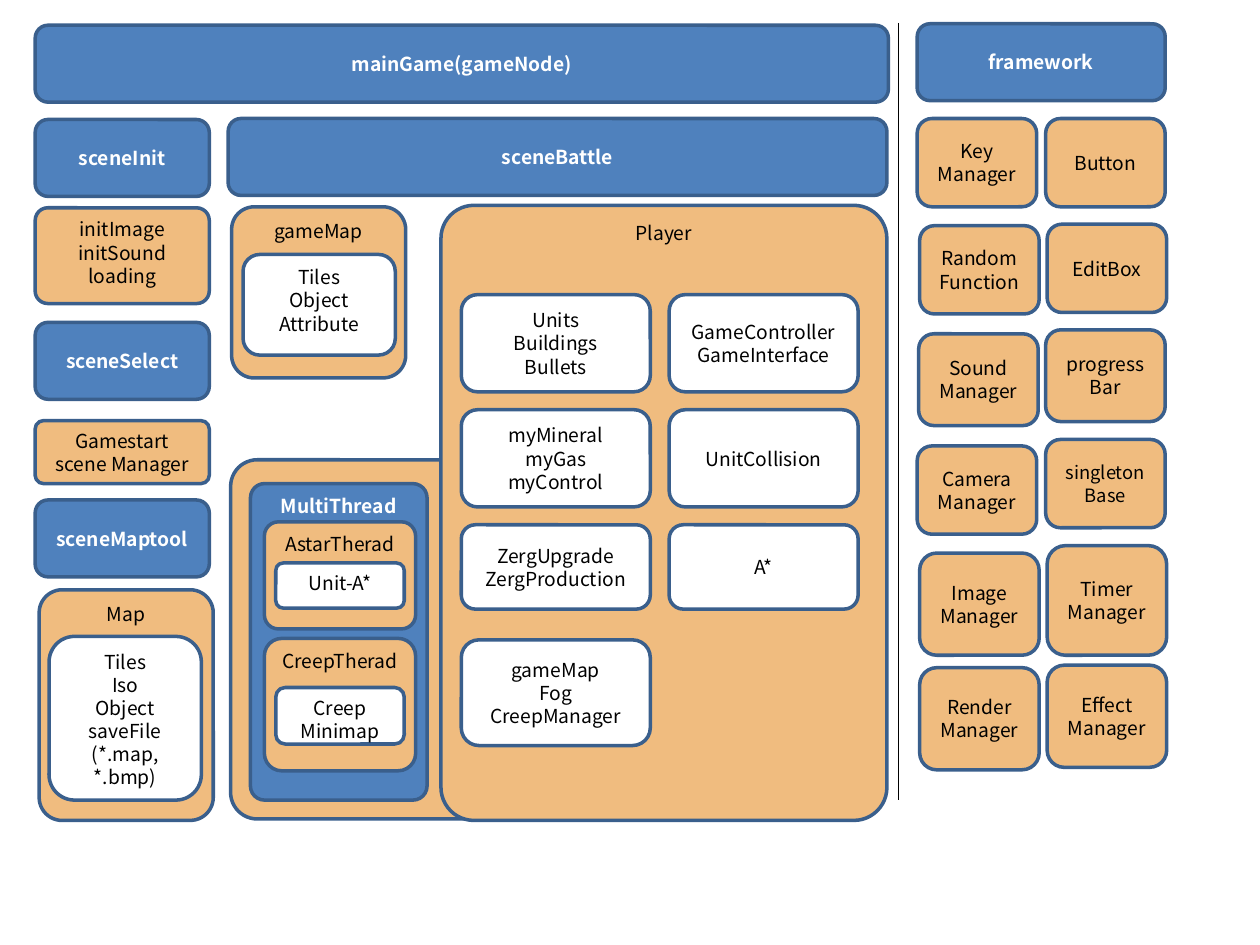
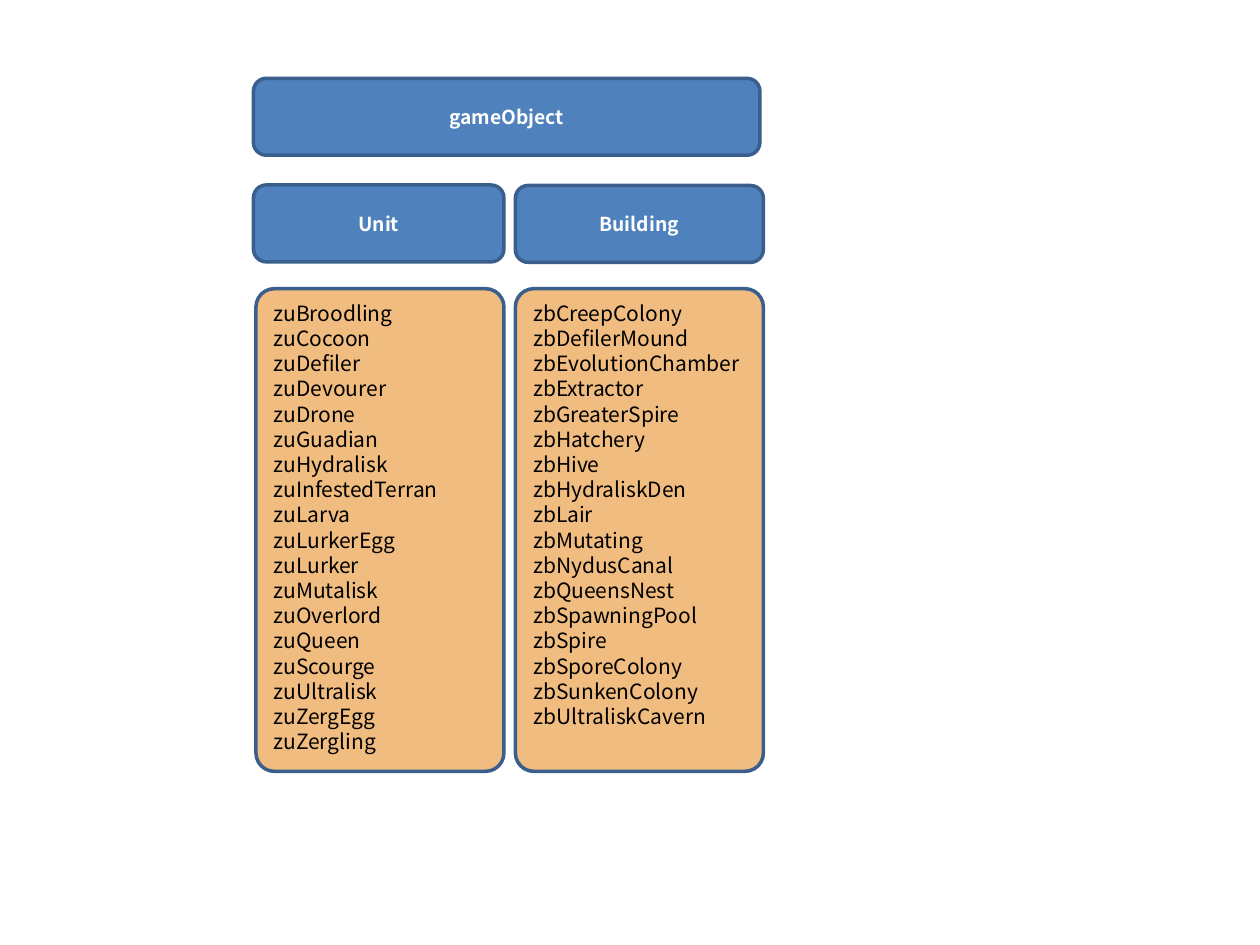
from typing import NamedTuple

from lxml.etree import SubElement
from pptx import Presentation
from pptx.dml.color import RGBColor
from pptx.enum.shapes import MSO_CONNECTOR, MSO_SHAPE
from pptx.enum.text import MSO_ANCHOR, PP_ALIGN
from pptx.oxml.ns import qn
from pptx.util import Cm, Pt

BLUE = RGBColor(0x4F, 0x81, 0xBD)
NAVY = RGBColor(0x3A, 0x5F, 0x8C)
ORANGE = RGBColor(0xF0, 0xBC, 0x7F)
WHITE = RGBColor(0xFF, 0xFF, 0xFF)
BLACK = RGBColor(0x00, 0x00, 0x00)
FONT = "Noto Sans CJK KR"
LINE_RATIO = 1.2
HEADING_HEIGHT = 1.55
ROUND = 0.167
PANEL_ROUND = 0.132
LARGE_ROUND = 0.074


class Box(NamedTuple):
    left: float
    top: float
    width: float
    height: float

    def inner(self, left, top, width, height):
        return Box(self.left + left, self.top + top, width, height)


def add_card(shapes, box, text, fill, rounding=ROUND, anchor=MSO_ANCHOR.TOP,
             align=PP_ALIGN.CENTER, size=11, color=BLACK, bold=False):
    card = shapes.add_shape(MSO_SHAPE.ROUNDED_RECTANGLE, *map(Cm, box))
    card.adjustments[0] = rounding
    card.shadow.inherit = False
    card.fill.solid()
    card.fill.fore_color.rgb = fill
    card.line.color.rgb = NAVY
    card.line.width = Pt(2)
    frame = card.text_frame
    frame.word_wrap = True
    frame.vertical_anchor = anchor
    frame.text = text
    for paragraph in frame.paragraphs:
        paragraph.alignment = align
        paragraph.line_spacing = Pt(size * LINE_RATIO)
        paragraph.font.name = FONT
        paragraph.font.size = Pt(size)
        paragraph.font.bold = bold
        paragraph.font.color.rgb = color


def add_heading(shapes, box, text):
    add_card(shapes, box, text, BLUE, anchor=MSO_ANCHOR.MIDDLE,
             color=WHITE, bold=True)


def add_nested(shapes, box, title, content_box, text):
    add_card(shapes, box, title, ORANGE, PANEL_ROUND)
    add_card(shapes, box.inner(*content_box), text, WHITE)


def add_scenes(shapes, box):
    for name, top in (("sceneInit", 0), ("sceneSelect", 4.09), ("sceneMaptool", 7.67)):
        add_heading(shapes, box.inner(0, top, box.width, HEADING_HEIGHT), name)
    for text, top, height in (("initImage\ninitSound\nloading", 1.78, 1.93),
                              ("Gamestart\nscene Manager", 6.07, 1.27)):
        add_card(shapes, box.inner(0, top, box.width, height), text, ORANGE, PANEL_ROUND)
    add_nested(shapes, box.inner(0.08, 9.48, box.width, 4.65), "Map",
               (0.2, 0.94, 3.07, 3.3), "Tiles\nIso\nObject\nsaveFile\n(*.map, *.bmp)")


def add_threads(shapes, box):
    add_card(shapes, box, "MultiThread", BLUE, 0.08, color=WHITE, bold=True)
    add_nested(shapes, box.inner(0.28, 3.12, 3.05, 2.67), "CreepTherad",
               (0.23, 0.99, 2.59, 1.14), "Creep\nMinimap")
    add_nested(shapes, box.inner(0.28, 0.77, 3.05, 2.16), "AstarTherad",
               (0.23, 0.83, 2.59, 0.91), "Unit-A*")


def add_player(shapes, box):
    add_card(shapes, box, "Player", ORANGE, LARGE_ROUND)
    heights = (1.96, 1.96, 1.7, 2.13)
    columns = (
        ("Units\nBuildings\nBullets", "myMineral\nmyGas\nmyControl",
         "ZergUpgrade\nZergProduction", "gameMap\nFog\nCreepManager"),
        ("GameController\nGameInterface", "UnitCollision", "A*"),
    )
    for column, members in enumerate(columns):
        for row, (text, height) in enumerate(zip(members, heights)):
            cell = box.inner(0.41 + 4.19 * column, 1.8 + 2.32 * row, 3.81, height)
            add_card(shapes, cell, text, WHITE, anchor=MSO_ANCHOR.MIDDLE)


def add_battle(shapes, box):
    add_card(shapes, box.inner(0.05, 6.88, 9.45, 7.24), "", ORANGE, LARGE_ROUND)
    add_player(shapes, box.inner(4.29, 1.75, 8.99, 12.4))
    add_heading(shapes, box.inner(0, 0, box.width, HEADING_HEIGHT), "sceneBattle")
    add_nested(shapes, box.inner(0.07, 1.78, 3.51, 3.45), "gameMap",
               (0.23, 0.96, 3.07, 2.03), "Tiles\nObject\nAttribute")
    add_threads(shapes.add_group_shape().shapes, box.inner(0.45, 7.36, 3.56, 6.38))


def add_framework(shapes, box):
    add_heading(shapes, box.inner(0, 0, box.width, HEADING_HEIGHT), "framework")
    tools = (
        ("Key\nManager", 0, 1.91, 1.78),
        ("Random\nFunction", 0.05, 4.07, 1.78),
        ("Sound\nManager", 0.03, 6.25, 1.85),
        ("Camera\nManager", 0, 8.51, 1.78),
        ("Image\nManager", 0.05, 10.67, 2.06),
        ("Render\nManager", 0.05, 12.98, 2.06),
        ("Button", 2.59, 1.91, 1.78),
        ("EditBox", 2.62, 4.04, 1.78),
        ("progressBar", 2.59, 6.17, 1.85),
        ("singletonBase", 2.59, 8.38, 1.78),
        ("Timer\nManager", 2.62, 10.52, 2.21),
        ("Effect\nManager", 2.62, 12.93, 2.06),
    )
    for text, left, top, height in tools:
        size = 10.5 if text == "singletonBase" else 11
        add_card(shapes, box.inner(left, top, 2.41, height), text, ORANGE,
                 anchor=MSO_ANCHOR.MIDDLE, size=size)


def add_divider(shapes, left, top, bottom):
    divider = shapes.add_connector(MSO_CONNECTOR.STRAIGHT, Cm(left), Cm(top),
                                   Cm(left), Cm(bottom))
    divider.line.color.rgb = BLACK
    divider.line.width = Pt(0.75)
    SubElement(divider._element.spPr, qn("a:effectLst"))


def build_structure(shapes):
    add_battle(shapes, Box(4.6, 2.39, 13.28, 14.15))
    add_heading(shapes, Box(0.71, 0.51, 17.2, HEADING_HEIGHT), "mainGame(gameNode)")
    add_scenes(shapes, Box(0.71, 2.41, 3.51, 14.13))
    add_divider(shapes, 18.11, 0.46, 16.13)
    add_framework(shapes.add_group_shape().shapes, Box(18.49, 0.48, 5, 15.04))


def add_class_list(shapes, box, names):
    add_card(shapes, box, "\n".join(names), ORANGE, LARGE_ROUND,
             align=PP_ALIGN.LEFT, size=12)


def build_objects(shapes, box):
    units = ("zuBroodling", "zuCocoon", "zuDefiler", "zuDevourer", "zuDrone",
             "zuGuadian", "zuHydralisk", "zuInfestedTerran", "zuLarva",
             "zuLurkerEgg", "zuLurker", "zuMutalisk", "zuOverlord", "zuQueen",
             "zuScourge", "zuUltralisk", "zuZergEgg", "zuZergling")
    buildings = ("zbCreepColony", "zbDefilerMound", "zbEvolutionChamber",
                 "zbExtractor", "zbGreaterSpire", "zbHatchery", "zbHive",
                 "zbHydraliskDen", "zbLair", "zbMutating", "zbNydusCanal",
                 "zbQueensNest", "zbSpawningPool", "zbSpire", "zbSporeColony",
                 "zbSunkenColony", "zbUltraliskCavern")
    for name, left, top, width in (("gameObject", 0, 0, 10.21),
                                   ("Unit", 0, 2.15, 5.05),
                                   ("Building", 5.28, 2.16, 5)):
        add_heading(shapes, box.inner(left, top, width, HEADING_HEIGHT), name)
    for names, left in ((units, 0.05), (buildings, 5.28)):
        add_class_list(shapes, box.inner(left, 4.24, 5, 9.73), names)


def main():
    deck = Presentation()
    deck.slide_width = Cm(25.4)
    deck.slide_height = Cm(19.05)
    blank = deck.slide_layouts[6]
    build_structure(deck.slides.add_slide(blank).shapes)
    build_objects(deck.slides.add_slide(blank).shapes, Box(5.11, 1.58, 10.28, 13.97))
    deck.save("out.pptx")


if __name__ == "__main__":
    main()
